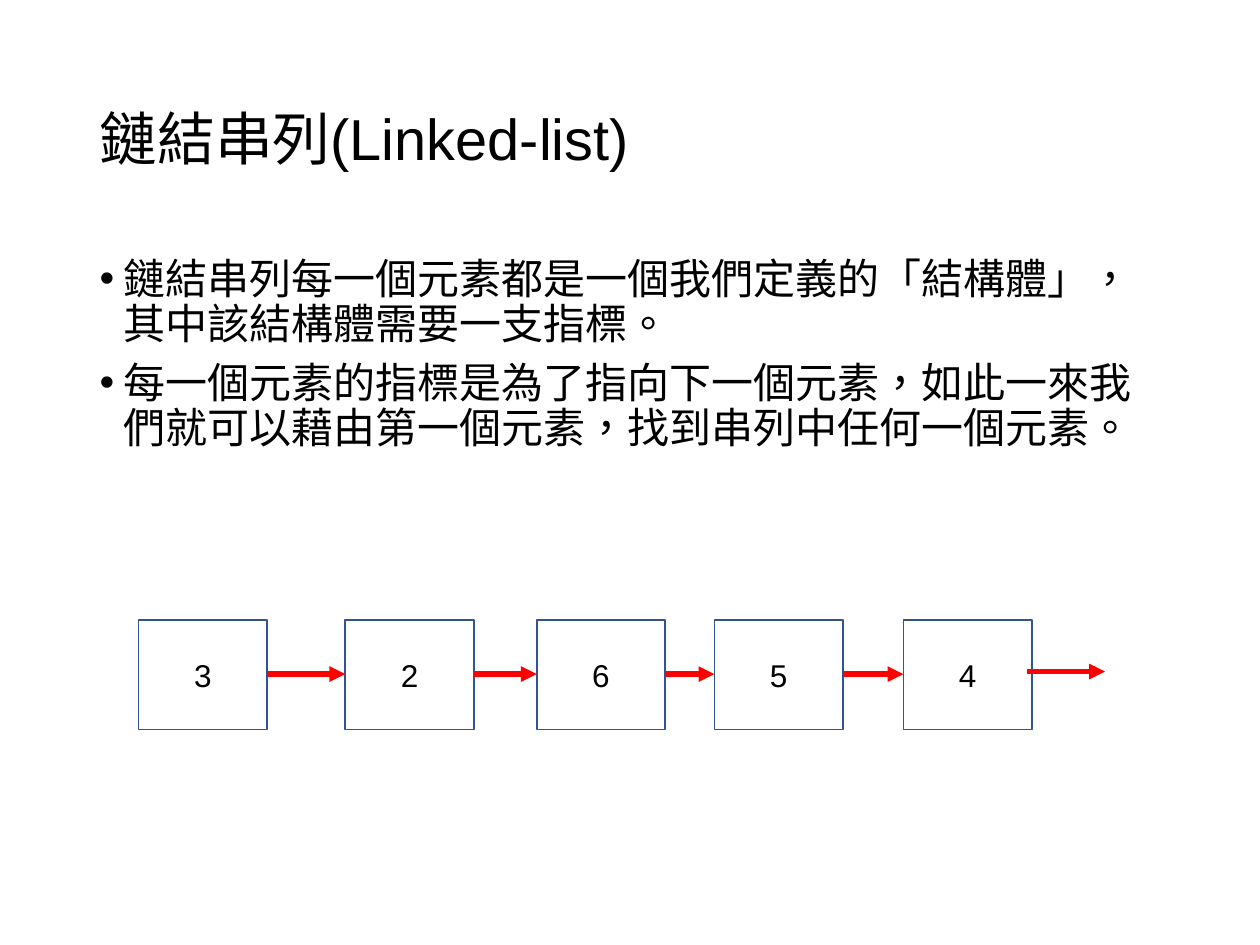
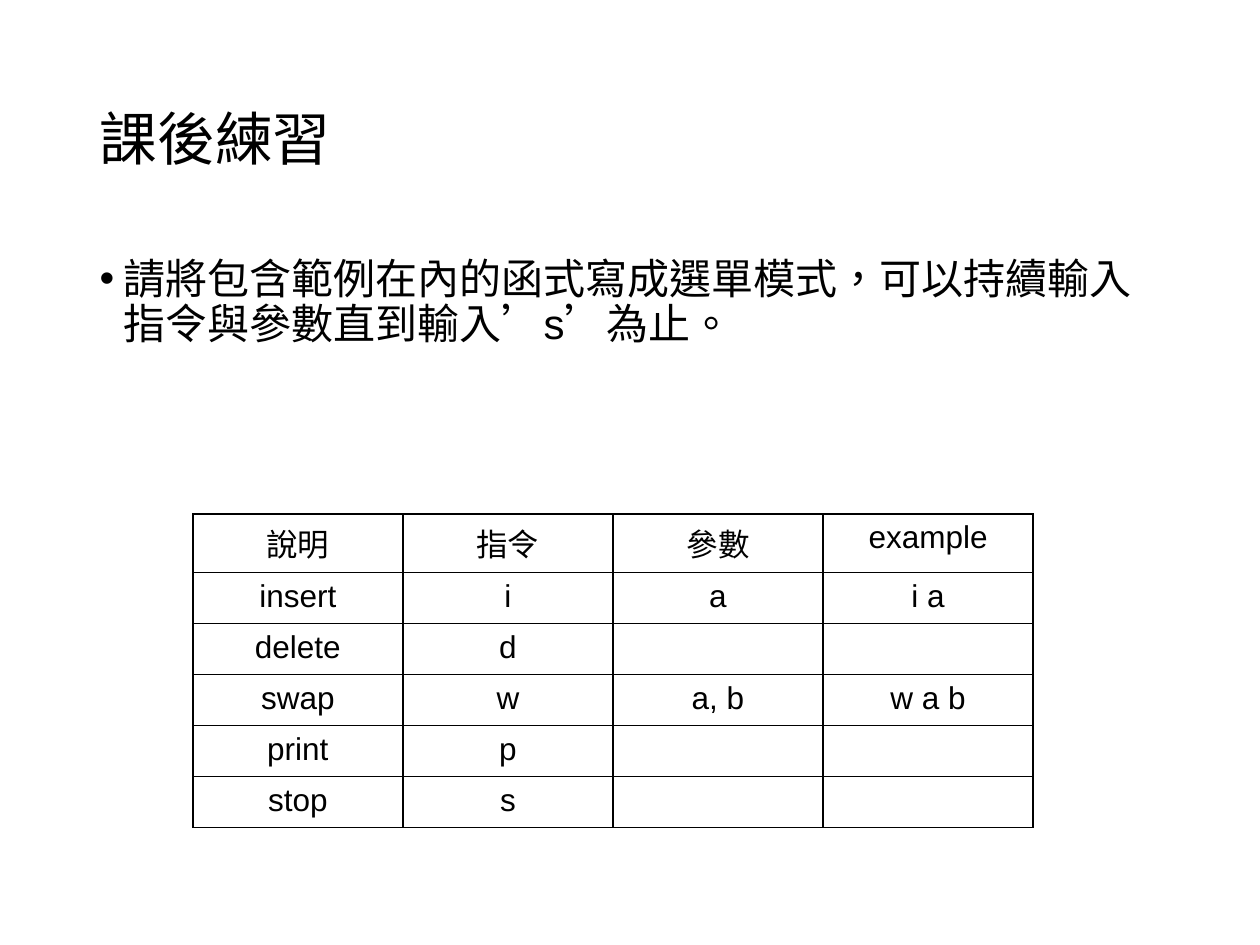
import pptx
import pptx.util
import pptx.dml.color
import pptx.enum.lang
import pptx.enum.shapes
import pptx.enum.text
import pptx.oxml
import pptx.oxml.ns
from pptx.util import Inches

ALIGN = pptx.enum.text.PP_ALIGN
ANCHOR = pptx.enum.text.MSO_ANCHOR
BLACK, WHITE, NAVY, RED = "000000", "FFFFFF", "325491", "FF0000"
NS = pptx.oxml.ns.nsdecls("a")


def color(hex_text):
    return pptx.dml.color.RGBColor.from_string(hex_text)


def write(frame, *lines, size=18, align=ALIGN.CENTER, anchor=ANCHOR.MIDDLE,
          spacing=None, before=0, bullet=False):
    """Fill a text frame, one paragraph for each line."""
    frame.word_wrap = True
    frame.auto_size = pptx.enum.text.MSO_AUTO_SIZE.NONE
    frame.vertical_anchor = anchor
    for index, line in enumerate(lines):
        paragraph = frame.add_paragraph() if index else frame.paragraphs[0]
        paragraph.alignment = align
        paragraph.line_spacing = spacing
        paragraph.space_before = pptx.util.Pt(before)
        if bullet:
            properties = paragraph._p.get_or_add_pPr()
            properties.set("marL", str(Inches(0.19)))
            properties.set("indent", str(Inches(-0.19)))
            properties.append(pptx.oxml.parse_xml(f'<a:buFont {NS} typeface="Arial"/>'))
            properties.append(pptx.oxml.parse_xml(f'<a:buChar {NS} char="•"/>'))
        run = paragraph.add_run()
        run.text = line
        run.font.name = "Arial"
        run.font.size = pptx.util.Pt(size)
        run.font.color.rgb = color(BLACK)
        run.font.language_id = pptx.enum.lang.MSO_LANGUAGE_ID.TRADITIONAL_CHINESE


deck = pptx.Presentation()
deck.slide_width, deck.slide_height = Inches(10), Inches(7.5)

# Titles and bullet lists of both slides
topics = [
    ("鏈結串列(Linked-list)",
     ["鏈結串列每一個元素都是一個我們定義的「結構體」，其中該結構體需要一支指標。",
      "每一個元素的指標是為了指向下一個元素，如此一來我們就可以藉由第一個元素，找到串列中任何一個元素。"]),
    ("課後練習",
     ["請將包含範例在內的函式寫成選單模式，可以持續輸入指令與參數直到輸入’s’為止。"]),
]
slides = []
for heading, points in topics:
    slide = deck.slides.add_slide(deck.slide_layouts[1])
    title, body = slide.placeholders
    for holder, top, height in ((title, 0.4, 1.45), (body, 2, 4.76)):
        holder.left, holder.top = Inches(0.69), Inches(top)
        holder.width, holder.height = Inches(8.62), Inches(height)
    write(title.text_frame, heading, size=33, align=ALIGN.LEFT, spacing=0.9)
    write(body.text_frame, *points, size=24, align=ALIGN.LEFT, anchor=ANCHOR.TOP,
          spacing=0.9, before=7.5, bullet=True)
    slides.append(slide)
list_slide, exercise_slide = slides

# Linked list: the nodes
node_top, node_width, node_height = 4.92, 1.02, 0.87
node_lefts = [1.1, 2.74, 4.26, 5.67, 7.17]
for left, value in zip(node_lefts, "32654"):
    node = list_slide.shapes.add_shape(
        pptx.enum.shapes.MSO_SHAPE.RECTANGLE, Inches(left), Inches(node_top),
        Inches(node_width), Inches(node_height))
    node.shadow.inherit = False
    node.fill.solid()
    node.fill.fore_color.rgb = color(WHITE)
    node.line.color.rgb = color(NAVY)
    node.line.width = pptx.util.Pt(1)
    write(node.text_frame, value)

# Linked list: pointers between neighbours, and one leaving the last node
pointers = [(left + node_width, following, 5.35)
            for left, following in zip(node_lefts, node_lefts[1:])]
pointers.append((8.15, 8.77, 5.33))
for start, end, level in pointers:
    pointer = list_slide.shapes.add_connector(
        pptx.enum.shapes.MSO_CONNECTOR.STRAIGHT,
        Inches(start), Inches(level), Inches(end), Inches(level))
    pointer.line.color.rgb = color(RED)
    pointer.line.width = pptx.util.Pt(3)
    pointer.line._get_or_add_ln().append(
        pptx.oxml.parse_xml(f'<a:tailEnd {NS} type="triangle"/>'))
    pointer._element.spPr.append(pptx.oxml.parse_xml(f"<a:effectLst {NS}/>"))

# Command table
commands = [
    ("說明", "指令", "參數", "example"),
    ("insert", "i", "a", "i a"),
    ("delete", "d", "", ""),
    ("swap", "w", "a, b", "w a b"),
    ("print", "p", "", ""),
    ("stop", "s", "", ""),
]
command_table = exercise_slide.shapes.add_table(
    len(commands), 4, Inches(1.53), Inches(4.08), Inches(6.67), Inches(2.43)).table
command_table.first_row = command_table.horz_banding = False
for row, entries in enumerate(commands):
    for column, entry in enumerate(entries):
        cell = command_table.cell(row, column)
        for side in "LRTB":
            cell._tc.get_or_add_tcPr().append(pptx.oxml.parse_xml(
                f'<a:ln{side} {NS} w="{pptx.util.Pt(1)}"><a:solidFill>'
                f'<a:srgbClr val="{BLACK}"/></a:solidFill></a:ln{side}>'))
        cell.fill.background()
        if entry:
            write(cell.text_frame, entry, anchor=None)

deck.save("out.pptx")
